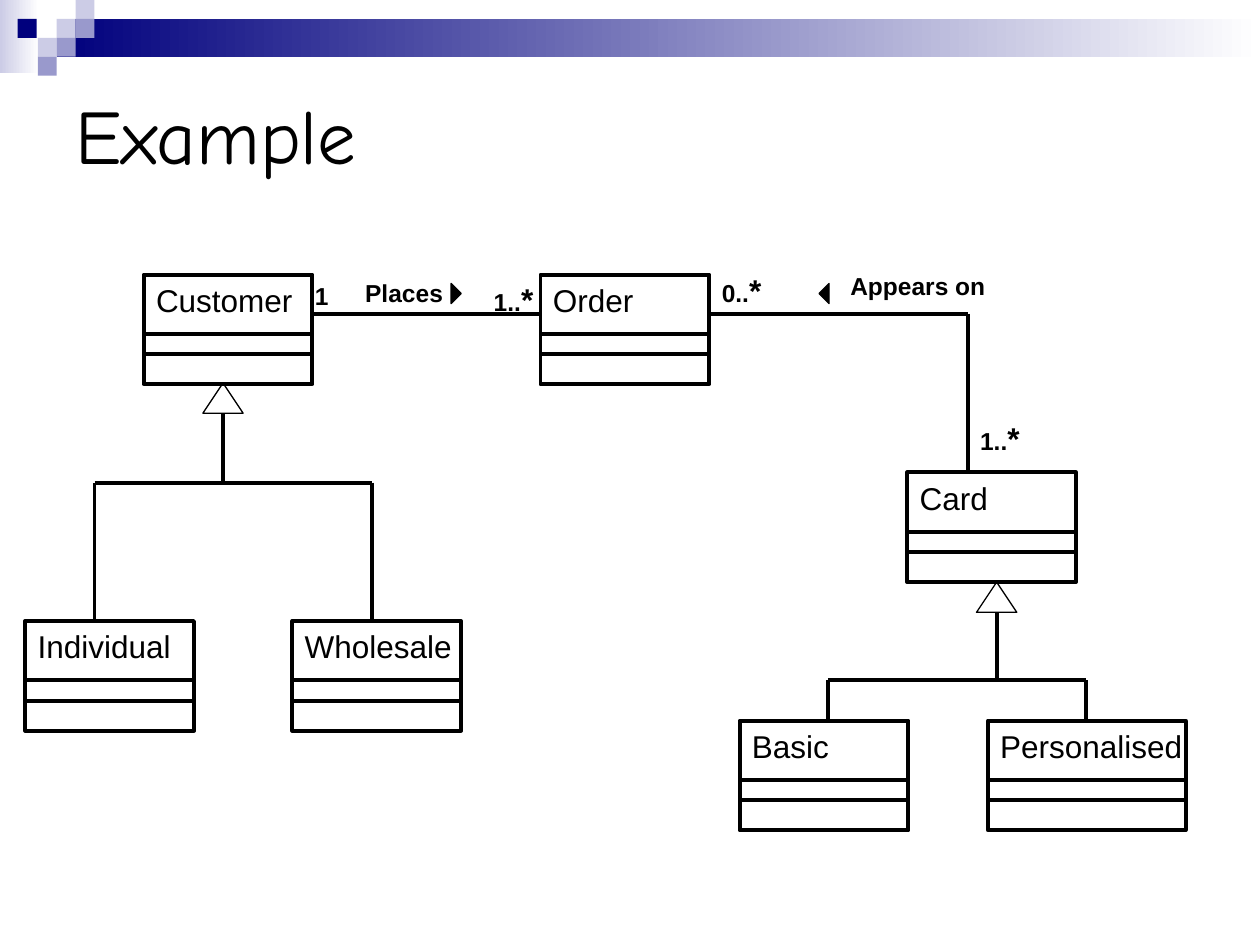
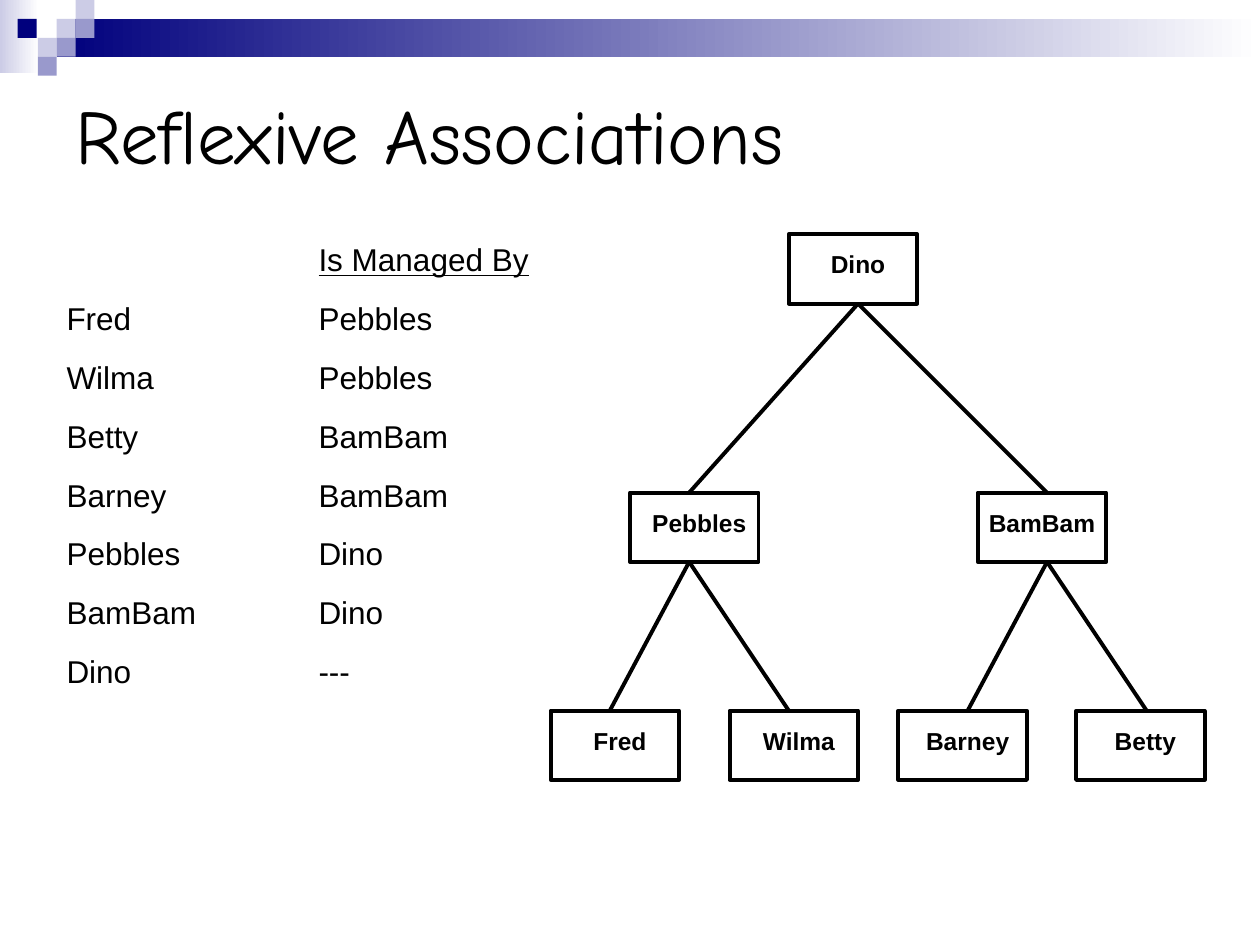
from dataclasses import dataclass
from itertools import pairwise
from typing import NamedTuple

from lxml.etree import SubElement
from pptx import Presentation
from pptx.dml.color import RGBColor as RGB
from pptx.enum.shapes import MSO_CONNECTOR as Wire, MSO_SHAPE as Kind
from pptx.enum.text import MSO_ANCHOR as Anchor, PP_ALIGN as Align
from pptx.oxml.ns import qn
from pptx.shapes.autoshape import Shape
from pptx.slide import Slide
from pptx.text.text import TextFrame as Frame
from pptx.util import Emu, Pt

SCALE = 9144  # EMU in one px, 100 px to the inch


@dataclass(frozen=True)
class Theme:
    ink: str = "000000"
    paper: str = "FFFFFF"
    navy: str = "00007D"
    mid: str = "9999CC"
    pale: str = "CCCCE6"
    head: str = "Comic Neue"
    body: str = "Arial"
    title: int = 44
    text: int = 18
    label: int = 14
    bold: float = 2.25
    thin: float = 0.75
    gap: float = 12


class Box(NamedTuple):
    x: int
    y: int
    w: int
    h: int


class Run(NamedTuple):
    text: str
    size: int
    bold: bool = False
    under: bool = False
    font: str = ""


class Class(NamedTuple):
    name: str
    x: int
    y: int
    w: int = 134


class Heir(NamedTuple):
    """A parent's tip, the bar below it and the tops of its children."""
    x: int
    y: int
    bar: int
    kids: tuple[int, ...]
    end: int


class Label(NamedTuple):
    box: Box
    text: str
    star: bool = False


class Node(NamedTuple):
    name: str
    x: int
    y: int
    joint: int
    boss: str = ""
    inset: int = 8


THEME = Theme()
TILE = 15
TILES = [
    (45, 15, THEME.pale), (60, 0, THEME.pale), (60, 15, THEME.mid),
    (30, 30, THEME.pale), (14, 15, THEME.navy), (45, 30, THEME.mid),
    (30, 45, THEME.mid),
]
FADES = [(Box(0, 0, 31, 58), THEME.pale), (Box(45, 15, 955, 30), THEME.navy)]

CLASSES = [
    Class("Customer", 114, 218), Class("Order", 429, 218),
    Class("Card", 720, 375), Class("Basic", 587, 572),
    Class("Personalised", 784, 572, 157),
    Class("Individual", 20, 493), Class("Wholesale", 232, 493),
]
CLASS_H = 87
RULES = (47, 63)
HEIRS = [
    Heir(177, 304, 383, (75, 295), 493),
    Heir(791, 462, 540, (657, 862), 572),
]
LINKS = [
    [(248, 249), (429, 249)],
    [(563, 249), (768, 249), (768, 375)],
]
LABELS = [
    Label(Box(563, 210, 71, 40), "0..", True),
    Label(Box(768, 328, 71, 40), "1..", True),
    Label(Box(382, 217, 71, 40), "1..", True),
    Label(Box(240, 218, 39, 34), "1"),
    Label(Box(280, 216, 86, 34), "Places"),
    Label(Box(665, 210, 141, 34), "Appears on"),
]
POINTERS = [(354, 90), (646, 270)]

NODES = [
    Node("Dino", 626, 186, 681),
    Node("BamBam", 776, 391, 831, "Dino", 0),
    Node("Pebbles", 500, 391, 547, "Dino"),
    Node("Betty", 854, 564, 910, "BamBam"),
    Node("Barney", 713, 564, 768, "BamBam"),
    Node("Wilma", 579, 564, 626, "Pebbles"),
    Node("Fred", 437, 564, 484, "Pebbles"),
]
NODE_W, NODE_H = 102, 55
STAFF = [
    ("Fred", "Pebbles"), ("Wilma", "Pebbles"), ("Betty", "BamBam"),
    ("Barney", "BamBam"), ("Pebbles", "Dino"), ("BamBam", "Dino"),
    ("Dino", "---"),
]


def px(num: int) -> Emu:
    return Emu(num * SCALE)


def draw(slide: Slide, box: Box, fill: str = "", line: float = 0,
         kind: Kind = Kind.RECTANGLE) -> Shape:
    shape = slide.shapes.add_shape(kind, *map(px, box))
    shape.shadow.inherit = False
    if fill:
        shape.fill.solid()
        shape.fill.fore_color.rgb = RGB.from_string(fill)
    else:
        shape.fill.background()
    if line:
        shape.line.color.rgb = RGB.from_string(THEME.ink)
        shape.line.width = Pt(line)
    else:
        shape.line.fill.background()
    return shape


def fade(slide: Slide, box: Box, tone: str) -> None:
    fill = draw(slide, box).fill
    fill.gradient()
    fill.gradient_angle = 0
    for stop, hue in zip(fill.gradient_stops, (tone, THEME.paper)):
        stop.color.rgb = RGB.from_string(hue)


def trace(slide: Slide, dots: list[tuple[int, int]]) -> None:
    """Join the dots with straight lines."""
    for start, end in pairwise(dots):
        wire = slide.shapes.add_connector(
            Wire.STRAIGHT, *map(px, (*start, *end)))
        wire.line.color.rgb = RGB.from_string(THEME.ink)
        wire.line.width = Pt(THEME.bold)
        SubElement(wire._element.spPr, qn("a:effectLst"))


def write(frame: Frame, rows: list[list[Run]], align: Align = Align.LEFT,
          anchor: Anchor = Anchor.TOP, left: int = 10, top: int = 5,
          right: int = 0, tab: int = 0) -> None:
    frame.word_wrap = True
    frame.vertical_anchor = anchor
    frame.margin_left, frame.margin_top = px(left), px(top)
    frame.margin_right, frame.margin_bottom = px(right), px(5)
    for num, row in enumerate(rows):
        para = frame.add_paragraph() if num else frame.paragraphs[0]
        if tab:
            stops = SubElement(para._p.get_or_add_pPr(), qn("a:tabLst"))
            SubElement(stops, qn("a:tab"), pos=str(px(tab)), algn="l")
        para.alignment = align
        if num:
            para.space_before = Pt(THEME.gap)
        for part in row:
            run = para.add_run()
            run.text = part.text
            font = run.font
            font.name = part.font or THEME.body
            font.size = Pt(part.size)
            font.bold, font.underline = part.bold, part.under
            font.color.rgb = RGB.from_string(THEME.ink)


def note(slide: Slide, box: Box) -> Frame:
    return slide.shapes.add_textbox(*map(px, box)).text_frame


def start(deck: Presentation, title: str) -> Slide:
    """Add a slide with the shared band, tiles and title."""
    slide = deck.slides.add_slide(deck.slide_layouts[6])
    for box, tone in FADES:
        fade(slide, box, tone)
    for x, y, tone in TILES:
        draw(slide, Box(x, y, TILE, TILE), tone)
    write(note(slide, Box(50, 50, 900, 112)),
          [[Run(title, THEME.title, font=THEME.head)]], anchor=Anchor.MIDDLE)
    return slide


def put_class(slide: Slide, item: Class) -> None:
    shape = draw(slide, Box(item.x, item.y, item.w, CLASS_H), line=THEME.bold)
    write(shape.text_frame, [[Run(item.name, THEME.text)]])
    for drop in RULES:
        y = item.y + drop
        trace(slide, [(item.x, y), (item.x + item.w, y)])


def put_heir(slide: Slide, heir: Heir) -> None:
    draw(slide, Box(heir.x - 16, heir.y, 32, 24), line=THEME.thin,
         kind=Kind.ISOSCELES_TRIANGLE)
    trace(slide, [(heir.x, heir.y + 24), (heir.x, heir.bar)])
    first, last = heir.kids
    trace(slide, [(first, heir.end), (first, heir.bar),
                  (last, heir.bar), (last, heir.end)])


def put_label(slide: Slide, label: Label) -> None:
    runs = [Run(label.text, THEME.label, True)]
    if label.star:
        runs.append(Run("*", THEME.text, True))
    write(note(slide, label.box), [runs])


def put_node(slide: Slide, node: Node) -> None:
    shape = draw(slide, Box(node.x, node.y, NODE_W, NODE_H), line=THEME.bold)
    write(shape.text_frame, [[Run(node.name, THEME.label, True)]],
          Align.CENTER, left=node.inset, top=12)


def example(deck: Presentation) -> None:
    slide = start(deck, "Example")
    for item in CLASSES:
        put_class(slide, item)
    for heir in HEIRS:
        put_heir(slide, heir)
    for link in LINKS:
        trace(slide, link)
    for label in LABELS:
        put_label(slide, label)
    for x, turn in POINTERS:
        mark = draw(slide, Box(x, 229, 16, 8), THEME.ink, THEME.thin,
                    Kind.ISOSCELES_TRIANGLE)
        mark.rotation = turn


def reflex(deck: Presentation) -> None:
    slide = start(deck, "Reflexive Associations")
    rows = [[Run("\t", THEME.text),
             Run("Is Managed By", THEME.text, under=True)]]
    rows += [[Run(f"{name}\t{boss}", THEME.text)] for name, boss in STAFF]
    write(note(slide, Box(43, 186, 433, 360)), rows, tab=200)
    tree = {node.name: node for node in NODES}
    for node in NODES:
        put_node(slide, node)
        if node.boss:
            boss = tree[node.boss]
            trace(slide, [(boss.joint, boss.y + NODE_H),
                          (node.joint, node.y)])


def main() -> None:
    deck = Presentation()
    deck.slide_width, deck.slide_height = px(1000), px(750)
    example(deck)
    reflex(deck)
    deck.save("out.pptx")


if __name__ == "__main__":
    main()
